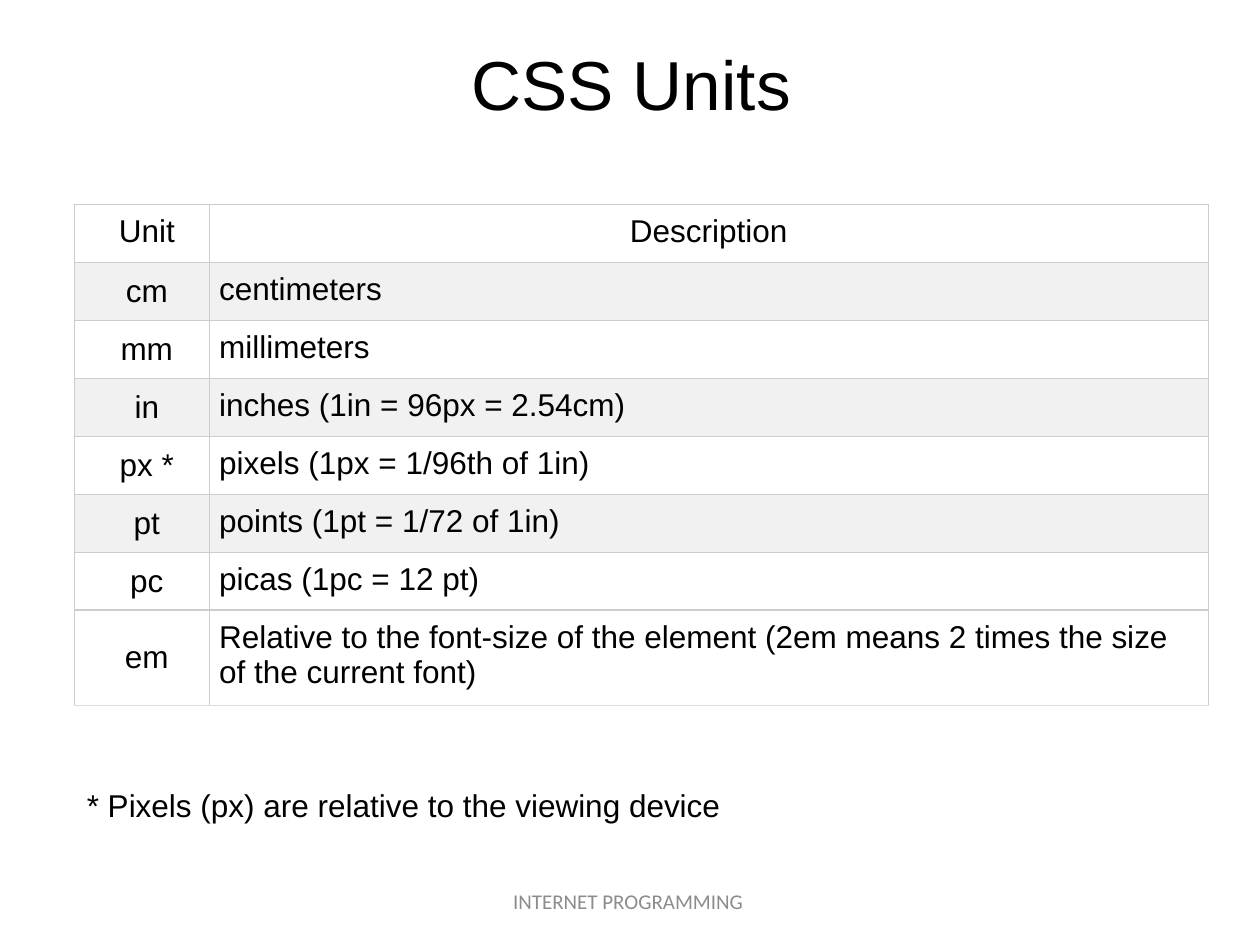
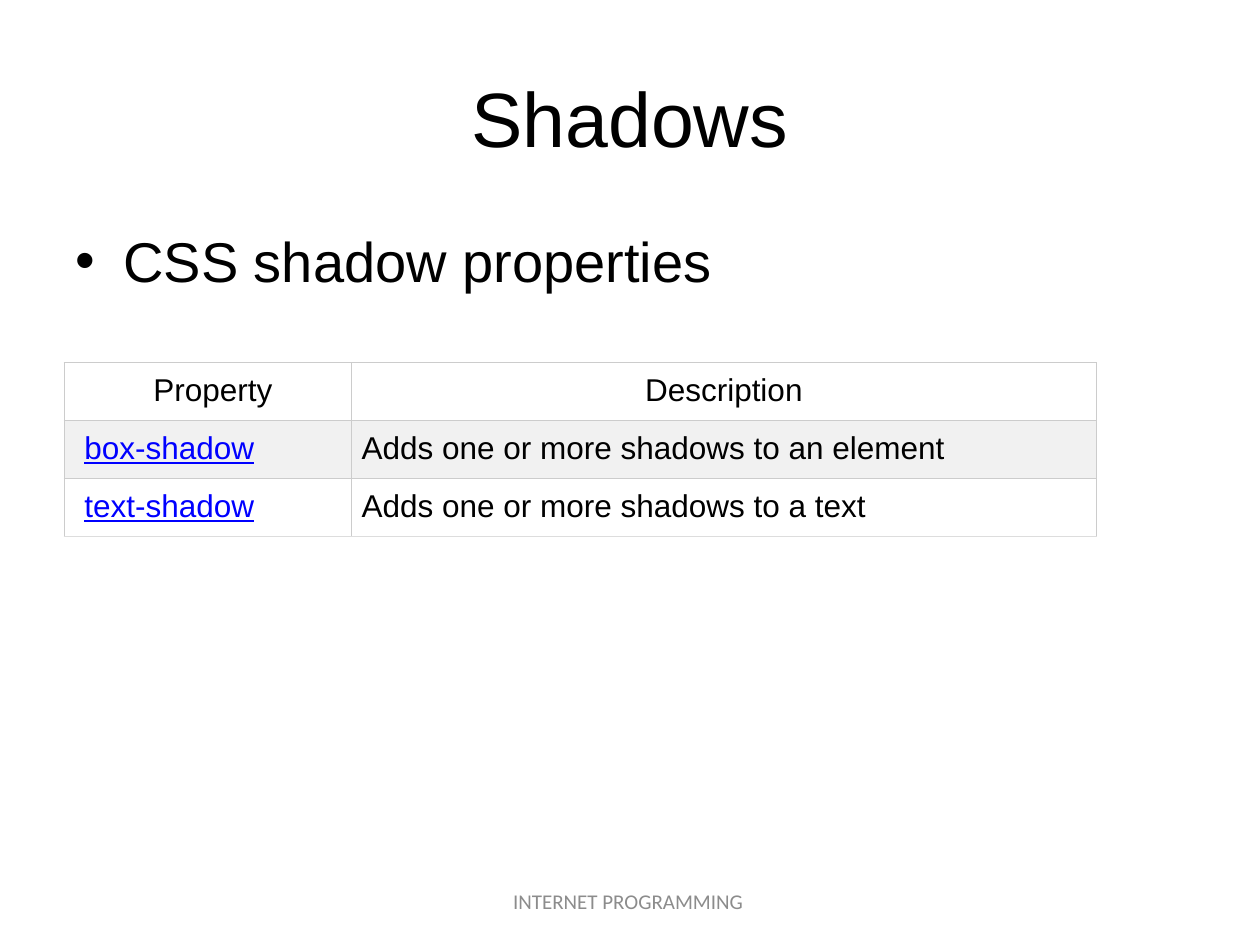
from lxml.etree import SubElement
from pptx import Presentation
from pptx.dml.color import RGBColor
from pptx.enum.text import MSO_ANCHOR, PP_ALIGN
from pptx.oxml.ns import qn
from pptx.util import Inches, Pt

BLACK = RGBColor(0x00, 0x00, 0x00)
WHITE = RGBColor(0xFF, 0xFF, 0xFF)
BAND = RGBColor(0xF1, 0xF1, 0xF1)
LINK = RGBColor(0x00, 0x00, 0xFF)
FOOTER_GRAY = RGBColor(0x8C, 0x8C, 0x8C)
RULE = RGBColor(0xCC, 0xCC, 0xCC)
BOTTOM_RULE = RGBColor(0xDD, 0xDD, 0xDD)

ROW_HEIGHT = 0.46
CELL_PADDING = 0.08
FOOTER_BOX = (3.42, 6.95, 3.17, 0.4)

UNITS = [
    ("Unit", "Description"),
    ("cm", "centimeters"),
    ("mm", "millimeters"),
    ("in", "inches (1in = 96px = 2.54cm)"),
    ("px *", "pixels (1px = 1/96th of 1in)"),
    ("pt", "points (1pt = 1/72 of 1in)"),
    ("pc", "picas (1pc = 12 pt)"),
    ("em", "Relative to the font-size of the element "
           "(2em means 2 times the size of the current font)"),
]
UNIT_BANDS = (1, 3, 5)

SHADOW_PROPERTIES = [
    ("Property", "Description"),
    ("box-shadow", "Adds one or more shadows to an element"),
    ("text-shadow", "Adds one or more shadows to a text"),
]
SHADOW_BANDS = (1,)


def write(frame, text, size=18, font="Arial", color=BLACK,
          align=PP_ALIGN.LEFT, underline=False):
    """Put one formatted paragraph into a text frame and return it."""
    frame.word_wrap = True
    paragraph = frame.paragraphs[0]
    paragraph.alignment = align
    run = paragraph.add_run()
    run.text = text
    run.font.size = Pt(size)
    run.font.name = font
    run.font.color.rgb = color
    if underline:
        run.font.underline = True
    return paragraph


def add_text(slide, box, text, anchor=MSO_ANCHOR.TOP, **text_format):
    frame = slide.shapes.add_textbox(*map(Inches, box)).text_frame
    frame.vertical_anchor = anchor
    return write(frame, text, **text_format)


def add_title(slide, box, text, size):
    add_text(slide, box, text, MSO_ANCHOR.MIDDLE, size=size,
             align=PP_ALIGN.CENTER)


def add_footer(slide):
    add_text(slide, FOOTER_BOX, "INTERNET PROGRAMMING ", MSO_ANCHOR.MIDDLE,
             size=12, font="Calibri", color=FOOTER_GRAY,
             align=PP_ALIGN.CENTER)


def add_bullet(slide, box, text, size):
    paragraph = add_text(slide, box, text, size=size)
    paragraph.space_before = Pt(size * 0.2)
    properties = paragraph._p.get_or_add_pPr()
    properties.set("marL", str(Inches(0.38)))
    properties.set("indent", str(Inches(-0.38)))
    SubElement(properties, qn("a:buFont"), typeface="Arial")
    SubElement(properties, qn("a:buChar"), char="•")


def set_borders(cell, bottom):
    """Draw the four cell edges; call before the fill is set."""
    properties = cell._tc.get_or_add_tcPr()
    for side, color in (("L", RULE), ("R", RULE), ("T", RULE), ("B", bottom)):
        edge = SubElement(properties, qn(f"a:ln{side}"), w=str(Pt(0.75)))
        fill = SubElement(edge, qn("a:solidFill"))
        SubElement(fill, qn("a:srgbClr"), val=str(color))


def add_reference_table(slide, left, top, widths, rows, bands,
                        key_anchor=MSO_ANCHOR.TOP, **key_format):
    """Add a table of keys and descriptions under a centred header row."""
    table = slide.shapes.add_table(
        len(rows), len(widths), Inches(left), Inches(top),
        Inches(sum(widths)), Inches(ROW_HEIGHT * len(rows))).table
    table.first_row = False
    table.horz_banding = False
    for column, width in zip(table.columns, widths):
        column.width = Inches(width)

    for r, texts in enumerate(rows):
        table.rows[r].height = Inches(ROW_HEIGHT)
        bottom = BOTTOM_RULE if r == len(rows) - 1 else RULE
        for c, text in enumerate(texts):
            cell = table.cell(r, c)
            set_borders(cell, bottom)
            cell.fill.solid()
            cell.fill.fore_color.rgb = BAND if r in bands else WHITE
            cell.margin_left = Inches(CELL_PADDING * (2 if c == 0 else 1))
            cell.margin_right = Inches(CELL_PADDING)
            cell.margin_top = cell.margin_bottom = Inches(CELL_PADDING)
            if r == 0:
                write(cell.text_frame, text, align=PP_ALIGN.CENTER)
            elif c == 0:
                cell.vertical_anchor = key_anchor
                write(cell.text_frame, text, **key_format)
            else:
                write(cell.text_frame, text)


def build_units(slide):
    add_title(slide, (0.51, 0.24, 9, 0.83), "CSS Units", 39.6)
    add_reference_table(slide, 0.59, 1.62, (1.07, 7.93), UNITS, UNIT_BANDS,
                        MSO_ANCHOR.MIDDLE, align=PP_ALIGN.CENTER)
    add_text(slide, (0.59, 6.19, 8.98, 0.4),
             "* Pixels (px) are relative to the viewing device")
    add_footer(slide)


def build_shadows(slide):
    add_title(slide, (0.5, 0.3, 9, 1.25), "Shadows", 44)
    add_bullet(slide, (0.5, 1.75, 9, 4.95), "CSS shadow properties", 32)
    add_reference_table(slide, 0.51, 2.88, (2.28, 5.91), SHADOW_PROPERTIES,
                        SHADOW_BANDS, color=LINK, underline=True)
    add_footer(slide)


def main():
    deck = Presentation()
    deck.slide_width, deck.slide_height = Inches(10), Inches(7.5)
    blank = deck.slide_layouts[6]
    for build in (build_units, build_shadows):
        build(deck.slides.add_slide(blank))
    deck.save("out.pptx")


if __name__ == "__main__":
    main()
